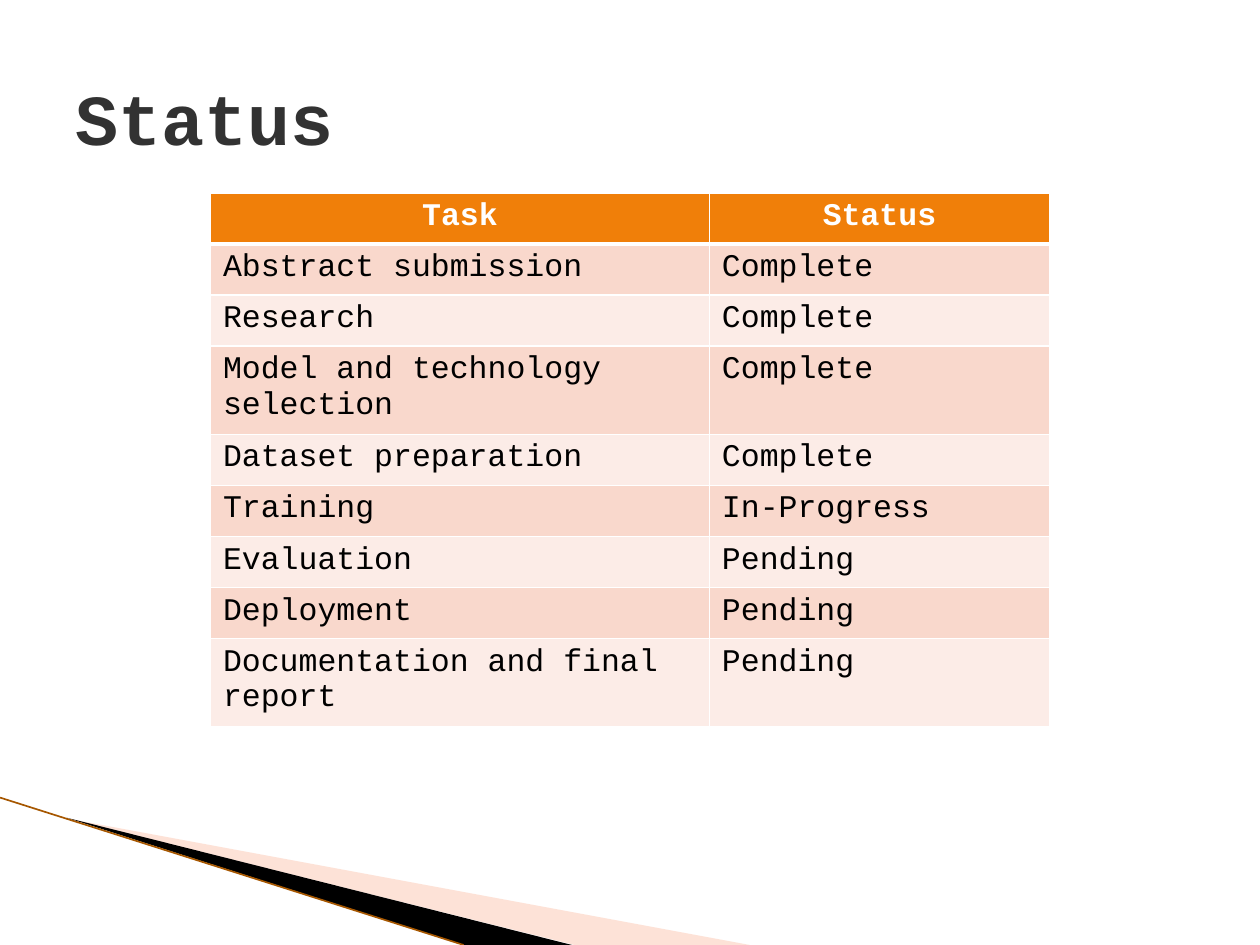
from dataclasses import dataclass

from pptx import Presentation
from pptx.dml.color import RGBColor
from pptx.enum.shapes import MSO_CONNECTOR
from pptx.enum.text import MSO_ANCHOR, PP_ALIGN
from pptx.oxml.ns import qn
from pptx.oxml.xmlchemy import OxmlElement
from pptx.slide import Slide
from pptx.table import _Cell
from pptx.text.text import _Paragraph
from pptx.util import Inches, Pt

FONT = "Courier New"
BLACK = RGBColor(0x00, 0x00, 0x00)
WHITE = RGBColor(0xFF, 0xFF, 0xFF)
CHARCOAL = RGBColor(0x32, 0x32, 0x32)
ORANGE = RGBColor(0xF0, 0x7F, 0x09)
BROWN = RGBColor(0xA6, 0x57, 0x00)
PEACH = RGBColor(0xFC, 0xB7, 0x9B)
BANDS = (RGBColor(0xF9, 0xD8, 0xCC), RGBColor(0xFC, 0xEC, 0xE7))


@dataclass(frozen=True)
class Wedge:
    """A filled corner wedge with points in inches and opacity in percent."""

    points: tuple[tuple[float, float], ...]
    color: RGBColor
    opacity: int = 100


@dataclass(frozen=True)
class Task:
    """A project task and its status."""

    name: str
    status: str


WEDGES = (
    Wedge(((0.55, 6.5), (5.95, 7.5), (4.56, 7.5)), PEACH, 40),
    Wedge(((0.53, 6.49), (4.54, 7.5), (3.68, 7.5)), BLACK),
)
TASKS = (
    Task("Abstract submission", "Complete"),
    Task("Research", "Complete"),
    Task("Model and technology selection", "Complete"),
    Task("Dataset preparation", "Complete"),
    Task("Training", "In-Progress"),
    Task("Evaluation", "Pending"),
    Task("Deployment", "Pending"),
    Task("Documentation and final report", "Pending"),
)


def style_paragraph(para: _Paragraph, size: int, color: RGBColor, bold: bool) -> None:
    """Format every run of a paragraph."""
    for span in para.runs:
        span.font.name = FONT
        span.font.size = Pt(size)
        span.font.bold = bold
        span.font.color.rgb = color


def draw_wedge(page: Slide, wedge: Wedge) -> None:
    """Draw a borderless wedge."""
    points = [(Inches(x), Inches(y)) for x, y in wedge.points]
    builder = page.shapes.build_freeform(*points[0])
    builder.add_line_segments(points[1:], close=True)
    shape = builder.convert_to_shape()
    shape.shadow.inherit = False
    shape.line.fill.background()
    shape.fill.solid()
    shape.fill.fore_color.rgb = wedge.color
    if wedge.opacity < 100:
        color = shape.element.spPr.find(qn("a:solidFill")).find(qn("a:srgbClr"))
        alpha = OxmlElement("a:alpha")
        alpha.set("val", str(wedge.opacity * 1000))
        color.append(alpha)


def draw_edge(page: Slide) -> None:
    """Draw the thin line along the wedges."""
    edge = page.shapes.add_connector(
        MSO_CONNECTOR.STRAIGHT, Inches(0), Inches(6.33), Inches(3.68), Inches(7.5)
    )
    edge.line.color.rgb = BROWN
    edge.line.width = Pt(0.95)
    edge.element.spPr.append(OxmlElement("a:effectLst"))


def draw_title(page: Slide, text: str) -> None:
    """Draw the slide title."""
    box = page.shapes.add_textbox(Inches(0.5), Inches(0.3), Inches(9), Inches(1.25))
    frame = box.text_frame
    frame.word_wrap = True
    frame.vertical_anchor = MSO_ANCHOR.MIDDLE
    frame.text = text
    style_paragraph(frame.paragraphs[0], 41, CHARCOAL, True)


def set_borders(cell: _Cell, top: int, bottom: int) -> None:
    """Give a cell white borders with the given top and bottom widths in points."""
    properties = cell._tc.get_or_add_tcPr()
    widths = {"a:lnL": 1, "a:lnR": 1, "a:lnT": top, "a:lnB": bottom}
    for position, (tag, width) in enumerate(widths.items()):
        border = OxmlElement(tag)
        border.set("w", str(Pt(width)))
        fill = OxmlElement("a:solidFill")
        color = OxmlElement("a:srgbClr")
        color.set("val", str(WHITE))
        fill.append(color)
        border.append(fill)
        properties.insert(position, border)


def draw_table(page: Slide, tasks: tuple[Task, ...]) -> None:
    """Draw the task table with a header and alternating bands."""
    rows = [("Task", "Status")] + [(task.name, task.status) for task in tasks]
    table = page.shapes.add_table(
        len(rows), 2, Inches(1.67), Inches(1.53), Inches(6.66), Inches(3.65)
    ).table
    for column, width in zip(table.columns, (3.96, 2.7)):
        column.width = Inches(width)
    for index, texts in enumerate(rows):
        header = index == 0
        for position, text in enumerate(texts):
            cell = table.cell(index, position)
            cell.text_frame.text = text
            para = cell.text_frame.paragraphs[0]
            para.alignment = PP_ALIGN.CENTER if header else PP_ALIGN.LEFT
            style_paragraph(para, 18, WHITE if header else BLACK, header)
            cell.fill.solid()
            cell.fill.fore_color.rgb = ORANGE if header else BANDS[(index - 1) % 2]
            set_borders(cell, top=3 if index == 1 else 1, bottom=3 if header else 1)


def main() -> None:
    """Build and save the status slide."""
    deck = Presentation()
    deck.slide_width, deck.slide_height = Inches(10), Inches(7.5)
    page = deck.slides.add_slide(deck.slide_layouts[6])
    for wedge in WEDGES:
        draw_wedge(page, wedge)
    draw_edge(page)
    draw_title(page, "Status")
    draw_table(page, TASKS)
    deck.save("out.pptx")


if __name__ == "__main__":
    main()
